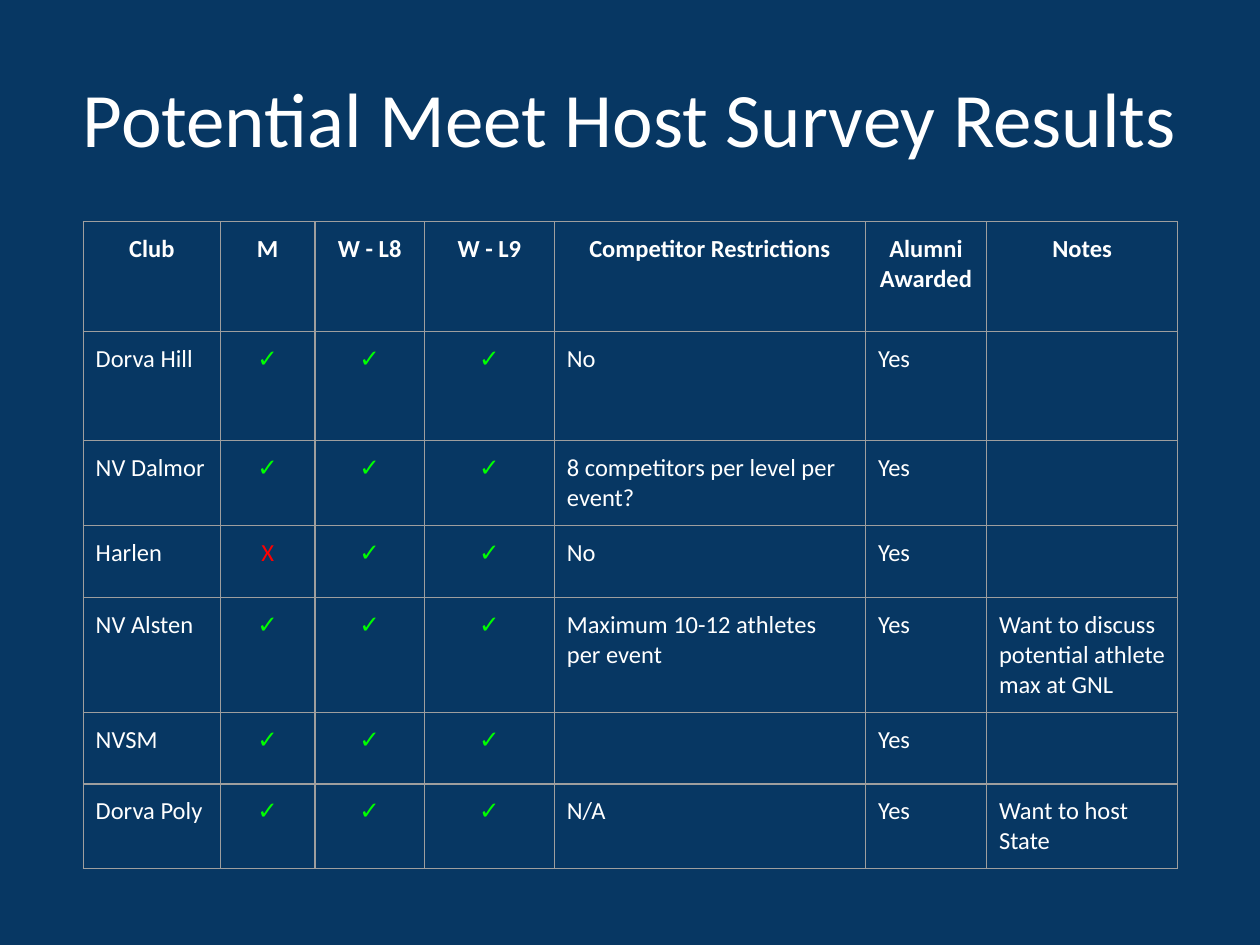
from lxml import etree
from pptx import Presentation
from pptx.dml.color import RGBColor
from pptx.enum.text import MSO_ANCHOR, PP_ALIGN
from pptx.oxml.ns import qn
from pptx.util import Inches, Pt

CENTER, LEFT = PP_ALIGN.CENTER, PP_ALIGN.LEFT
MIDDLE, TOP = MSO_ANCHOR.MIDDLE, MSO_ANCHOR.TOP
NAVY = RGBColor(0x07, 0x37, 0x63)
WHITE = RGBColor(0xFF, 0xFF, 0xFF)
GREEN = RGBColor(0x00, 0xFF, 0x00)
RED = RGBColor(0xFF, 0x00, 0x00)
GRAY = RGBColor(0x9E, 0x9E, 0x9E)
FONT = "Calibri"

TITLE = "Potential Meet Host Survey Results"
HEADER = ["Club", "M", "W - L8", "W - L9", "Competitor Restrictions",
          "Alumni Awarded", "Notes"]
CLUBS = [
    ["Dorva Hill", "✓", "✓", "✓", "No", "Yes", ""],
    ["NV Dalmor", "✓", "✓", "✓", "8 competitors per level per event?", "Yes", ""],
    ["Harlen", "X", "✓", "✓", "No", "Yes", ""],
    ["NV Alsten", "✓", "✓", "✓", "Maximum 10-12 athletes per event", "Yes",
     "Want to discuss potential athlete max at GNL"],
    ["NVSM", "✓", "✓", "✓", "", "Yes", ""],
    ["Dorva Poly", "✓", "✓", "✓", "N/A", "Yes", "Want to host State"],
]
MARKS = {"✓": GREEN, "X": RED}
COLS = [1.09, 0.75, 0.87, 1.03, 2.47, 0.96, 1.52]
ROWS = [0.87] * 2 + [0.57] * 5
TABLE_LEFT, TABLE_TOP = 0.66, 1.76


def write(tf, text, size, align, color=WHITE, bold=False):
    p = tf.paragraphs[0]
    p.alignment = align
    holder = p
    if text:
        holder = p.add_run()
        holder.text = text
    font = holder.font
    for name, value in {"name": FONT, "size": Pt(size), "bold": bold}.items():
        setattr(font, name, value)
    font.color.rgb = color


def add_borders(cell):
    tc_pr = cell._tc.get_or_add_tcPr()
    for i, side in enumerate(("lnL", "lnR", "lnT", "lnB")):
        ln = etree.Element(qn(f"a:{side}"), w=str(Pt(0.75)))
        fill = etree.SubElement(ln, qn("a:solidFill"))
        etree.SubElement(fill, qn("a:srgbClr"), val=str(GRAY))
        tc_pr.insert(i, ln)


def add_title(slide):
    title = slide.shapes.title
    box = {"left": 0.5, "top": 0.3, "width": 9, "height": 1.25}
    for name, value in box.items():
        setattr(title, name, Inches(value))
    tf = title.text_frame
    tf.word_wrap = True
    tf.vertical_anchor = MIDDLE
    write(tf, TITLE, 44, CENTER)


def add_survey(slide):
    data = [HEADER] + CLUBS
    table = slide.shapes.add_table(
        len(ROWS), len(COLS), Inches(TABLE_LEFT), Inches(TABLE_TOP),
        Inches(sum(COLS)), Inches(sum(ROWS))).table
    table.first_row = table.horz_banding = False
    for col, width in zip(table.columns, COLS):
        col.width = Inches(width)
    for r, (row, height) in enumerate(zip(table.rows, ROWS)):
        row.height = Inches(height)
        for cell, text in zip(row.cells, data[r]):
            for side in ("left", "right", "top", "bottom"):
                setattr(cell, f"margin_{side}", Inches(0.1))
            cell.vertical_anchor = TOP
            cell.fill.background()
            add_borders(cell)
            align = CENTER if r == 0 or text in MARKS else LEFT
            color = WHITE if r == 0 else MARKS.get(text, WHITE)
            write(cell.text_frame, text, 14, align, color, r == 0)


def main():
    prs = Presentation()
    prs.slide_width, prs.slide_height = Inches(10), Inches(7.5)
    slide = prs.slides.add_slide(prs.slide_layouts[5])
    slide.background.fill.solid()
    slide.background.fill.fore_color.rgb = NAVY
    add_title(slide)
    add_survey(slide)
    prs.save("out.pptx")


if __name__ == "__main__":
    main()
